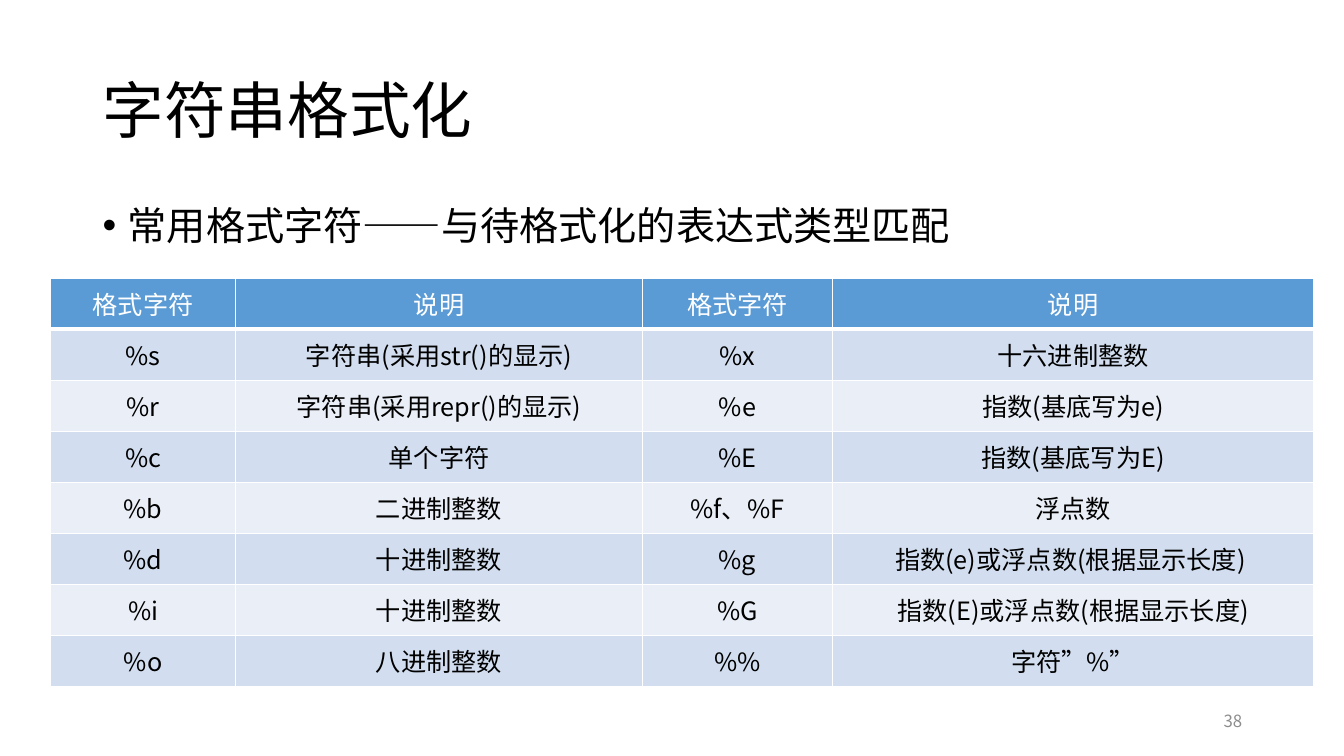
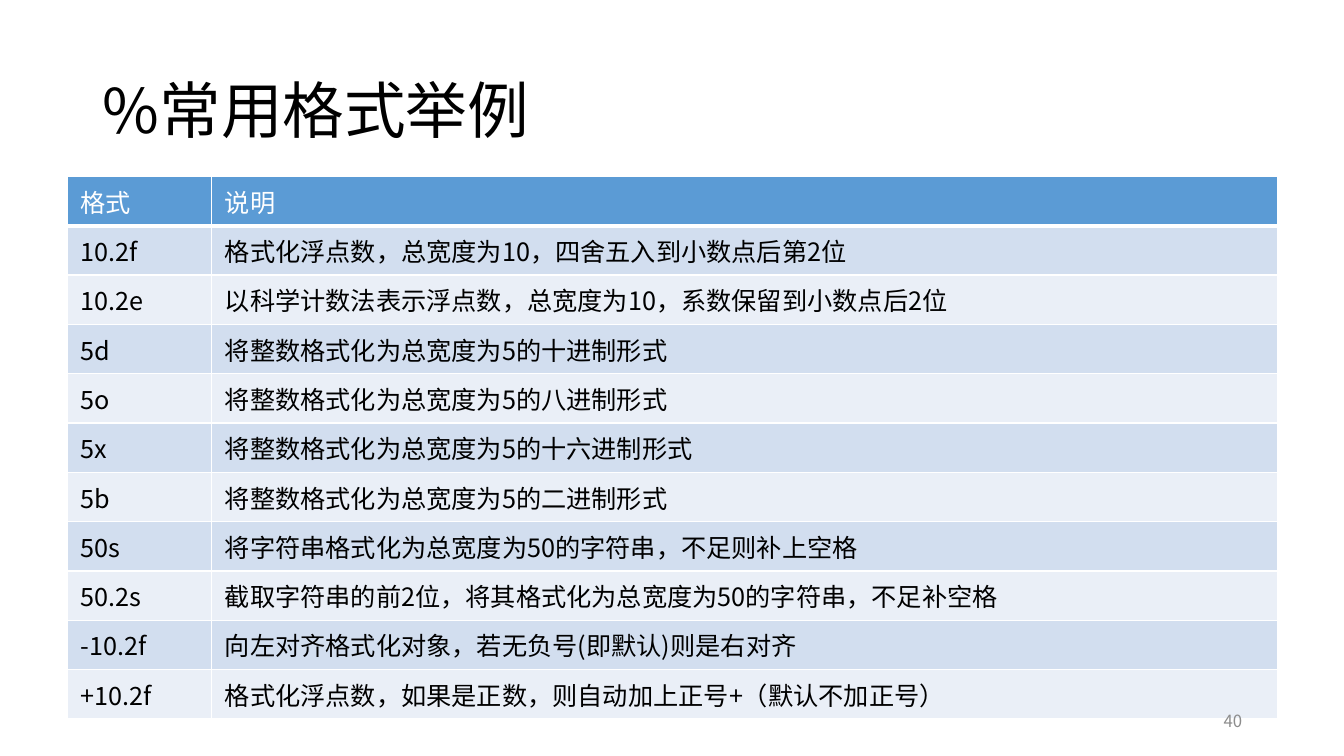
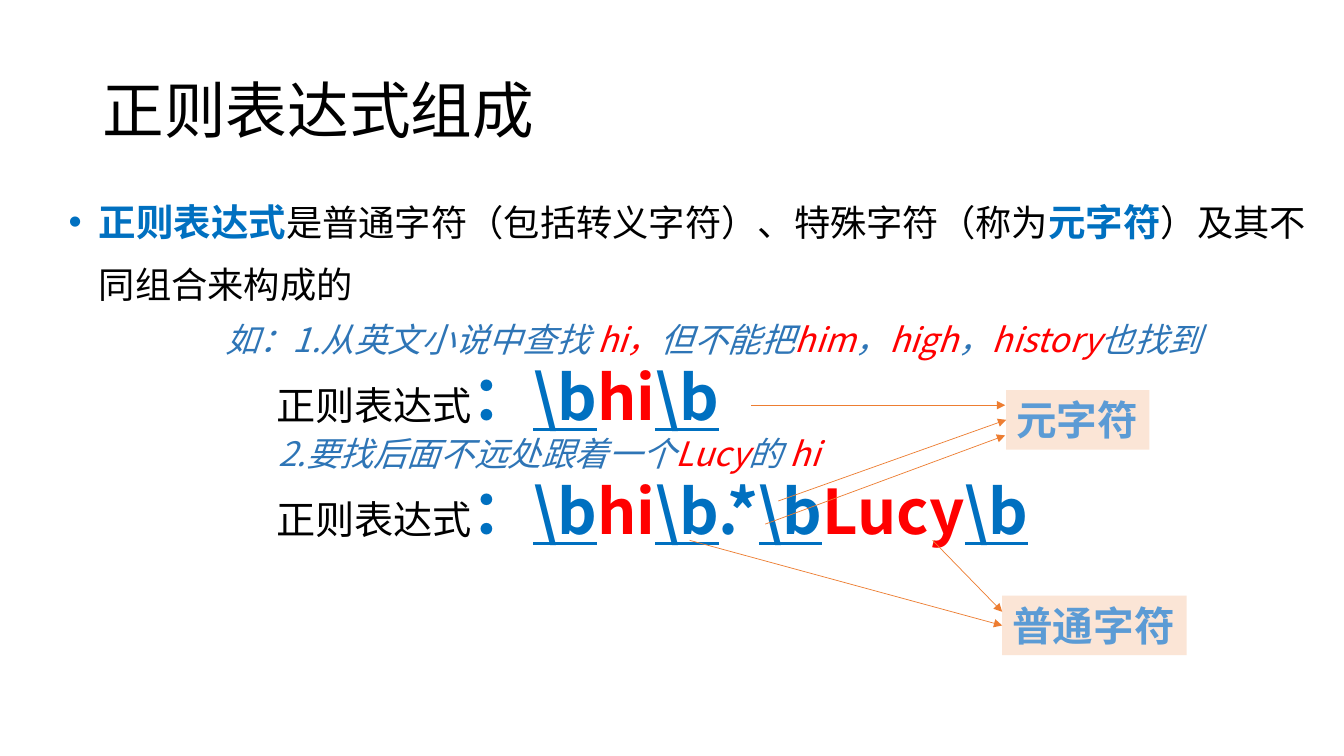
from lxml import etree
from pptx import Presentation
from pptx import util as u
from pptx.dml.color import RGBColor
from pptx.enum import lang, shapes, text
from pptx.oxml.ns import qn

WIDTH, HEIGHT = u.Inches(13.33), u.Inches(7.5)
FONT = "Noto Sans CJK SC"
BLACK, WHITE, GREY, RED = "000000", "FFFFFF", "8C8C8C", "FF0000"
BLUE, SKY, STEEL = "0070C0", "5B9BD5", "2E75B6"
ORANGE, PEACH = "ED7D31", "FBE5D6"
BANDS = ("EAEFF7", "D2DEEF")
CENTER, RIGHT = text.PP_ALIGN.CENTER, text.PP_ALIGN.RIGHT
TOP, MIDDLE = text.MSO_ANCHOR.TOP, text.MSO_ANCHOR.MIDDLE
FIT = text.MSO_AUTO_SIZE.SHAPE_TO_FIT_TEXT

FORMAT_CHARS = [
    ("格式字符", "说明", "格式字符", "说明"),
    ("%s", "字符串(采用str()的显示)", "%x", "十六进制整数"),
    ("%r", "字符串(采用repr()的显示)", "%e", "指数(基底写为e)"),
    ("%c", "单个字符", "%E", "指数(基底写为E)"),
    ("%b", "二进制整数", "%f、%F", "浮点数"),
    ("%d", "十进制整数", "%g", "指数(e)或浮点数(根据显示长度) "),
    ("%i", "十进制整数", "%G", "指数(E)或浮点数(根据显示长度)"),
    ("%o", "八进制整数", "%%", "字符”%”"),
]
FORMAT_EXAMPLES = [
    ("格式", "说明"),
    ("10.2f", "格式化浮点数，总宽度为10，四舍五入到小数点后第2位"),
    ("10.2e", "以科学计数法表示浮点数，总宽度为10，系数保留到小数点后2位"),
    ("5d", "将整数格式化为总宽度为5的十进制形式"),
    ("5o", "将整数格式化为总宽度为5的八进制形式"),
    ("5x", "将整数格式化为总宽度为5的十六进制形式"),
    ("5b", "将整数格式化为总宽度为5的二进制形式"),
    ("50s", "将字符串格式化为总宽度为50的字符串，不足则补上空格"),
    ("50.2s", "截取字符串的前2位，将其格式化为总宽度为50的字符串，不足补空格"),
    ("-10.2f", "向左对齐格式化对象，若无负号(即默认)则是右对齐"),
    ("+10.2f", "格式化浮点数，如果是正数，则自动加上正号+（默认不加正号）"),
]


def rgb(value):
    """Turn a hex string into a colour."""
    return RGBColor.from_string(value)


def px(share):
    """Length for a percentage of the slide width."""
    return int(WIDTH * share / 100)


def py(share):
    """Length for a percentage of the slide height."""
    return int(HEIGHT * share / 100)


def area(x, y, w, h):
    """Left, top, width and height from percentages of the slide."""
    return px(x), py(y), px(w), py(h)


def write(p, content, size=18, color=BLACK, bold=False, italic=False, underline=False):
    """Append one formatted run to a paragraph."""
    r = p.add_run()
    r.text = content
    f = r.font
    f.size, f.bold, f.italic, f.underline = u.Pt(size), bold, italic, underline
    f.color.rgb = rgb(color)
    f.name = FONT
    f.language_id = lang.MSO_LANGUAGE_ID.SIMPLIFIED_CHINESE
    etree.SubElement(r._r.get_or_add_rPr(), qn("a:ea"), typeface=FONT)


def text_box(s, place, anchor=TOP):
    """Add a wrapping text box and return its frame."""
    tf = s.shapes.add_textbox(*area(*place)).text_frame
    tf.word_wrap = True
    tf.vertical_anchor = anchor
    return tf


def bullet(p, indent, spacing, before, color=BLACK):
    """Give a paragraph a hanging bullet and its spacing."""
    p.line_spacing, p.space_before = spacing, u.Pt(before)
    ppr = p._p.get_or_add_pPr()
    ppr.set("marL", str(u.Inches(indent)))
    ppr.set("indent", str(-u.Inches(indent)))
    clr = etree.SubElement(ppr, qn("a:buClr"))
    etree.SubElement(clr, qn("a:srgbClr"), val=color)
    etree.SubElement(ppr, qn("a:buFont"), typeface="Arial")
    etree.SubElement(ppr, qn("a:buChar"), char="•")


def new_slide(prs, title, number=None):
    """Add a blank slide with its title and page number."""
    s = prs.slides.add_slide(prs.slide_layouts[6])
    p = text_box(s, (6.9, 5.33, 86.27, 19.33), MIDDLE).paragraphs[0]
    p.line_spacing = 0.9
    write(p, title, size=44)
    return s


def page_number(s, number):
    """Add the page number at the lower right."""
    p = text_box(s, (70.67, 92.67, 22.5, 5.33), MIDDLE).paragraphs[0]
    p.alignment = RIGHT
    write(p, number, size=12, color=GREY)


def cell_borders(cell, bottom):
    """Draw white borders round a table cell."""
    tcpr = cell._tc.get_or_add_tcPr()
    for side, width in (("L", 1), ("R", 1), ("T", 1), ("B", bottom)):
        ln = etree.SubElement(tcpr, qn("a:ln" + side), w=str(u.Pt(width)))
        fill = etree.SubElement(ln, qn("a:solidFill"))
        etree.SubElement(fill, qn("a:srgbClr"), val=WHITE)


def banded_table(s, x, y, widths, row, data, align=None):
    """Add a table with a blue header and banded rows."""
    place = area(x, y, sum(widths), row * len(data))
    table = s.shapes.add_table(len(data), len(widths), *place).table
    for col, width in zip(table.columns, widths):
        col.width = px(width)
    for i, values in enumerate(data):
        table.rows[i].height = py(row)
        for cell, value in zip(table.rows[i].cells, values):
            cell_borders(cell, 1 if i else 3)
            cell.fill.solid()
            cell.fill.fore_color.rgb = rgb(BANDS[i % 2] if i else SKY)
            cell.vertical_anchor = MIDDLE
            cell.margin_left = cell.margin_right = u.Inches(0.13)
            p = cell.text_frame.paragraphs[0]
            p.alignment = align
            write(p, value, color=BLACK if i else WHITE)


def label(s, place, content):
    """Add a peach label with bold blue text."""
    sp = s.shapes.add_shape(shapes.MSO_SHAPE.RECTANGLE, *area(*place))
    sp.shadow.inherit = False
    sp.fill.solid()
    sp.fill.fore_color.rgb = rgb(PEACH)
    sp.line.fill.background()
    tf = sp.text_frame
    tf.word_wrap, tf.auto_size, tf.vertical_anchor = False, FIT, TOP
    p = tf.paragraphs[0]
    p.alignment = text.PP_ALIGN.LEFT
    write(p, content, size=29, color=SKY, bold=True)
    return sp


def arrow(s, start, end, target=None):
    """Draw a thin orange arrow, joined to a target's left side if given."""
    c = s.shapes.add_connector(shapes.MSO_CONNECTOR.STRAIGHT, px(start[0]), py(start[1]),
                               px(end[0]), py(end[1]))
    if target is not None:
        c.end_connect(target, 1)
    c.line.color.rgb = rgb(ORANGE)
    c.line.width = u.Pt(0.5)
    etree.SubElement(c.line._get_or_add_ln(), qn("a:tailEnd"), type="triangle")
    etree.SubElement(c._element.spPr, qn("a:effectLst"))


def task_line(p, *pieces):
    """Write an italic task whose odd pieces are red."""
    for i, piece in enumerate(pieces):
        write(p, piece, size=24, color=RED if i % 2 else STEEL, italic=True)


def regex_line(p, *pieces):
    """Write a regular expression with words red and boundaries underlined."""
    write(p, "\t正则表达式", size=28)
    for piece in ("：",) + pieces:
        write(p, piece, size=44, color=RED if piece.isalpha() else BLUE,
              bold=True, underline=piece == r"\b")


def format_chars_slide(prs):
    """Build the table of format characters."""
    s = new_slide(prs, "字符串格式化")
    p = text_box(s, (6.9, 26.67, 86.27, 63.47)).paragraphs[0]
    bullet(p, 0.25, 0.9, 10)
    write(p, "常用格式字符——与待格式化的表达式类型匹配", size=28)
    banded_table(s, 3.75, 36.8, (13.8, 30.23, 14.18, 35.78), 6.75, FORMAT_CHARS, CENTER)
    page_number(s, "38")


def format_examples_slide(prs):
    """Build the table of format examples."""
    s = new_slide(prs, "%常用格式举例")
    banded_table(s, 5.03, 23.33, (10.73, 79.29), 6.53, FORMAT_EXAMPLES)
    page_number(s, "40")


def regex_slide(prs):
    """Build the annotated regular expressions."""
    s = new_slide(prs, "正则表达式组成")
    tf = text_box(s, (4.2, 23.2, 94.07, 18.27))
    tf.margin_left = tf.margin_right = u.Inches(0.12)
    tf.margin_top = tf.margin_bottom = u.Inches(0.06)
    p = tf.paragraphs[0]
    bullet(p, 0.3, 1.4, 11.9, BLUE)
    pieces = ("正则表达式", "是普通字符（包括转义字符）、特殊字符（称为",
              "元字符", "）及其不同组合来构成的")
    for i, piece in enumerate(pieces):
        if i % 2:
            write(p, piece, size=25.9)
        else:
            write(p, piece, size=26.8, color=BLUE, bold=True)

    tf = text_box(s, (16.05, 41.47, 74.87, 41.73))
    tf.auto_size = FIT
    task_line(tf.paragraphs[0], "如：1.从英文小说中查找 ", "hi，", "但不能把", "him",
              "，", "high", "，", "history", "也找到")
    regex_line(tf.add_paragraph(), r"\b", "hi", r"\b")
    p = tf.add_paragraph()
    p._p.get_or_add_pPr().set("indent", str(u.Inches(0.52)))
    task_line(p, "2.要找后面不远处跟着一个", "Lucy", "的 ", "hi")
    regex_line(tf.add_paragraph(), r"\b", "hi", r"\b", ".*", r"\b", "Lucy", r"\b")

    meta = label(s, (74.87, 51.6, 10.65, 7.87), "元字符")
    plain = label(s, (74.57, 78.8, 13.73, 7.87), "普通字符")
    arrow(s, (55.89, 53.6), (74.79, 53.6))
    arrow(s, (56.94, 69.33), (74.79, 57.6))
    arrow(s, (57.91, 66.27), (74.79, 55.2), meta)
    arrow(s, (69.39, 71.47), (74.57, 80.93))
    arrow(s, (51.31, 71.47), (74.57, 83.2), plain)


def main():
    """Build and save the presentation."""
    prs = Presentation()
    prs.slide_width, prs.slide_height = WIDTH, HEIGHT
    format_chars_slide(prs)
    format_examples_slide(prs)
    regex_slide(prs)
    prs.save("out.pptx")


if __name__ == "__main__":
    main()
